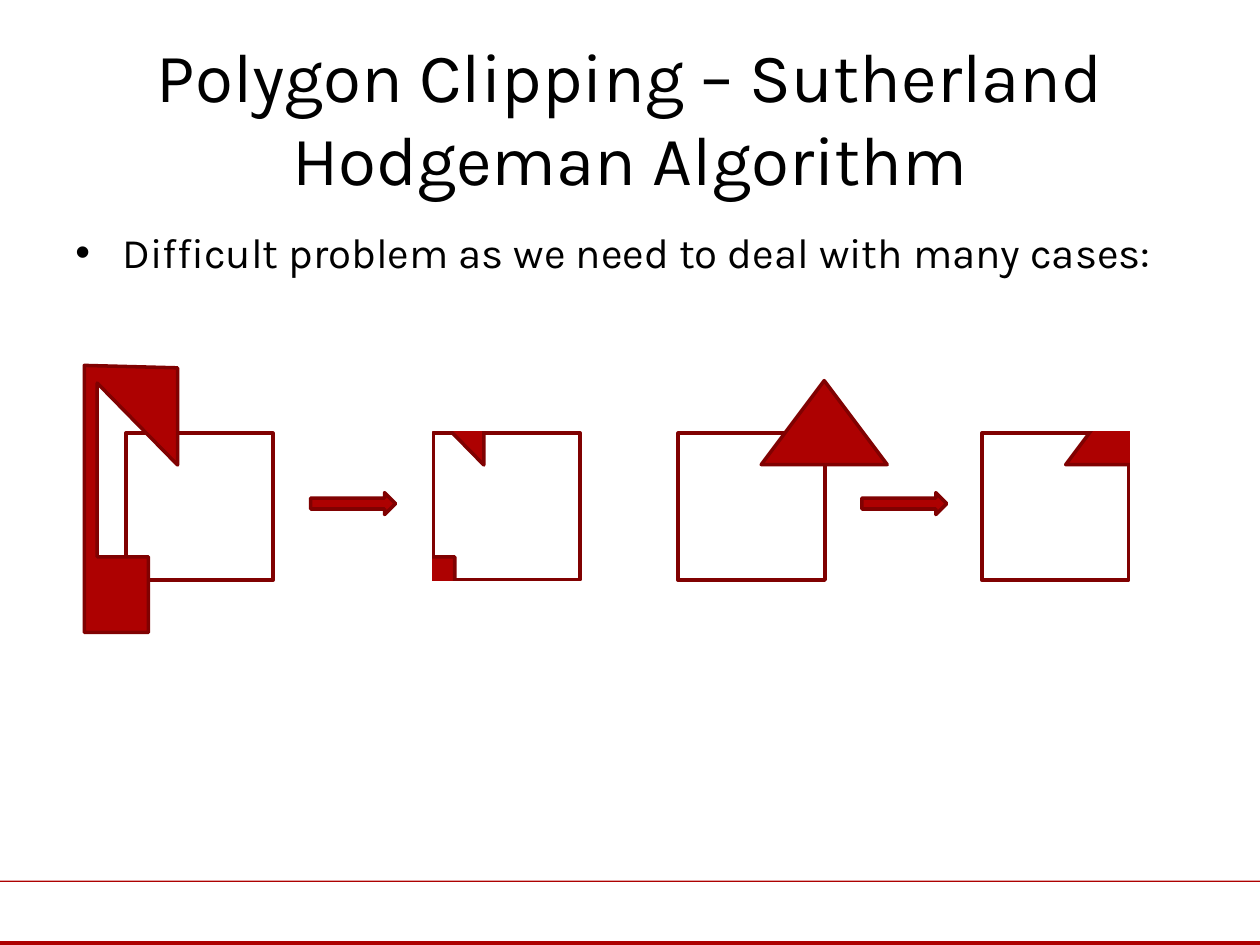
"""Build the slide on polygon clipping with the Sutherland Hodgeman algorithm."""
from typing import NamedTuple, Optional

from lxml.etree import SubElement
from pptx import Presentation
from pptx.dml.color import RGBColor
from pptx.enum.shapes import MSO_SHAPE
from pptx.enum.text import MSO_ANCHOR, MSO_AUTO_SIZE, PP_ALIGN
from pptx.oxml.ns import qn
from pptx.util import Pt

RED, DARK_RED, WHITE, BLACK = "AD0101", "800101", "FFFFFF", "000000"
FONT = "Karla"
WINDOW_TOP, WINDOW_SIZE = 247.5, 84
POLYGON_TOP = 208.8
POLYGON = [(0, 0), (0, 152.6), (36.7, 152.6), (36.7, 109.4),
           (7.4, 109.4), (7.4, 10.1), (53.3, 56.9), (53.3, 1.4)]


class Area(NamedTuple):
    left: float
    top: float
    width: float
    height: float


def color(value: str) -> RGBColor:
    return RGBColor.from_string(value)


def paint(shape, fill: Optional[str], line: Optional[str]) -> None:
    shape.shadow.inherit = False
    if fill:
        shape.fill.solid()
        shape.fill.fore_color.rgb = color(fill)
    else:
        shape.fill.background()
    if line:
        shape.line.color.rgb = color(line)
        shape.line.width = Pt(2)
    else:
        shape.line.fill.background()


def add_figure(page, kind: MSO_SHAPE, area: Area, fill: Optional[str] = RED,
               line: Optional[str] = DARK_RED) -> None:
    paint(page.shapes.add_shape(kind, *map(Pt, area)), fill, line)


def add_window(page, left: float) -> None:
    area = Area(left, WINDOW_TOP, WINDOW_SIZE, WINDOW_SIZE)
    add_figure(page, MSO_SHAPE.RECTANGLE, area, fill=None)


def add_arrow(page, left: float) -> None:
    add_figure(page, MSO_SHAPE.RIGHT_ARROW, Area(left, 281.5, 48.5, 12.5))


def add_triangle(page, left: float) -> None:
    add_figure(page, MSO_SHAPE.ISOSCELES_TRIANGLE, Area(left, 217.5, 72, 48))


def add_mask(page, area: Area) -> None:
    add_figure(page, MSO_SHAPE.RECTANGLE, area, fill=WHITE, line=WHITE)


def add_polygon(page, left: float) -> None:
    corners = [(Pt(left + x), Pt(POLYGON_TOP + y)) for x, y in POLYGON]
    builder = page.shapes.build_freeform(*corners[0])
    builder.add_line_segments(corners[1:], close=True)
    paint(builder.convert_to_shape(), RED, DARK_RED)


def write_text(box, text: str, *, area: Area, size: float, align: PP_ALIGN,
               anchor: MSO_ANCHOR, bullet: Optional[str] = None) -> None:
    box.left, box.top, box.width, box.height = map(Pt, area)
    frame = box.text_frame
    frame.word_wrap = True
    frame.auto_size = MSO_AUTO_SIZE.NONE
    frame.vertical_anchor = anchor
    para = frame.paragraphs[0]
    para.alignment = align
    if bullet:
        properties = para._p.get_or_add_pPr()
        properties.set("marL", str(Pt(27)))
        properties.set("indent", str(-Pt(27)))
        SubElement(properties, qn("a:buFont"), typeface="Arial")
        SubElement(properties, qn("a:buChar"), char=bullet)
    span = para.add_run()
    span.text = text
    span.font.name = FONT
    span.font.size = Pt(size)
    span.font.color.rgb = color(BLACK)


def add_concave_case(page) -> None:
    for window_left, polygon_left in ((72, 48.2), (247.5, 223.2)):
        add_window(page, window_left)
        add_polygon(page, polygon_left)
    add_mask(page, Area(210, 199.5, 36, 186))
    add_arrow(page, 177.5)
    add_mask(page, Area(207, 197.5, 186, 48))
    add_mask(page, Area(201, 333, 186, 36))


def add_triangle_case(page) -> None:
    for window_left, triangle_left in ((387.5, 435), (561, 609)):
        add_window(page, window_left)
        add_triangle(page, triangle_left)
    add_arrow(page, 492.5)
    add_mask(page, Area(585, 197.5, 114, 48))
    add_mask(page, Area(646.5, 205, 36, 186))


def main() -> None:
    deck = Presentation()
    deck.slide_width, deck.slide_height = Pt(720), Pt(540)
    page = deck.slides.add_slide(deck.slide_layouts[5])
    for rule in (Area(0, 503.2, 720, 0.7), Area(0, 537.8, 720, 2.2)):
        add_figure(page, MSO_SHAPE.RECTANGLE, rule, line=None)
    write_text(page.shapes.title, "Polygon Clipping – Sutherland Hodgeman Algorithm",
               area=Area(36, 21.6, 648, 90), size=39.6,
               align=PP_ALIGN.CENTER, anchor=MSO_ANCHOR.MIDDLE)
    write_text(page.shapes.add_textbox(0, 0, 0, 0),
               "Difficult problem as we need to deal with many cases:",
               area=Area(36, 126, 648, 356.4), size=24,
               align=PP_ALIGN.LEFT, anchor=MSO_ANCHOR.TOP, bullet="•")
    add_concave_case(page)
    add_triangle_case(page)
    deck.save("out.pptx")


if __name__ == "__main__":
    main()
